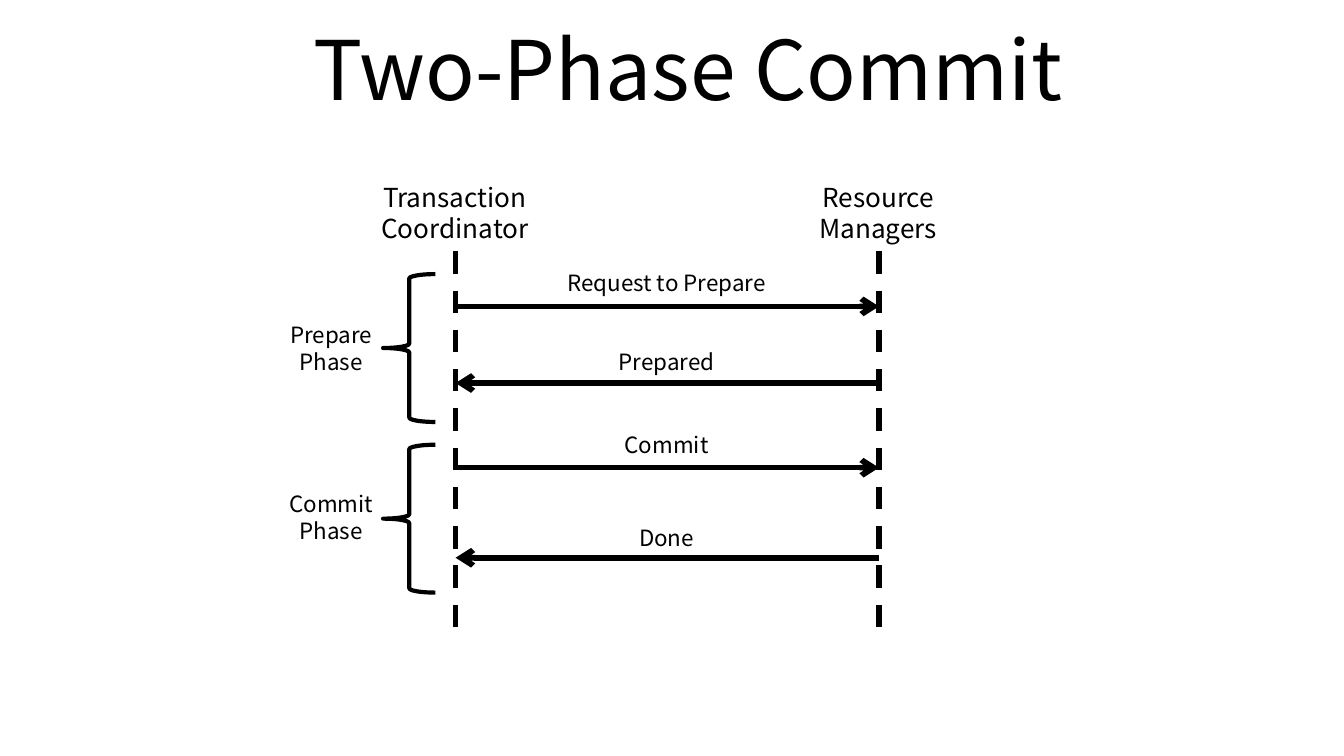
from typing import NamedTuple

from lxml.etree import SubElement
from pptx import Presentation
from pptx.dml.color import RGBColor
from pptx.enum.dml import MSO_LINE
from pptx.enum.shapes import MSO_CONNECTOR, MSO_SHAPE
from pptx.enum.text import MSO_ANCHOR, MSO_AUTO_SIZE, PP_ALIGN
from pptx.oxml.ns import qn
from pptx.shapes.connector import Connector
from pptx.slide import Slide
from pptx.util import Inches, Pt

BLACK = RGBColor(0x00, 0x00, 0x00)
FONT = "Noto Sans CJK KR"

SLIDE_WIDTH = Inches(10)
SLIDE_HEIGHT = SLIDE_WIDTH * 9 // 16

COORDINATOR_X = 3.39
MANAGERS_X = 6.54
LIFELINE_TOP = 1.87
LIFELINE_BOTTOM = 4.78


class Lifeline(NamedTuple):
    label: str
    x: float


class Message(NamedTuple):
    label: str
    sender_x: float
    receiver_x: float
    y: float
    label_top: float


class Phase(NamedTuple):
    label: str
    brace_top: float
    label_top: float


# A vertical tab is a line break inside one paragraph.
LIFELINES = [
    Lifeline("Transaction\nCoordinator", COORDINATOR_X),
    Lifeline("Resource\vManagers", MANAGERS_X),
]
MESSAGES = [
    Message("Request to Prepare", COORDINATOR_X, MANAGERS_X, 2.28, 1.95),
    Message("Prepared", MANAGERS_X, COORDINATOR_X, 2.85, 2.54),
    Message("Commit", COORDINATOR_X, MANAGERS_X, 3.48, 3.16),
    Message("Done", MANAGERS_X, COORDINATOR_X, 4.15, 3.85),
]
PHASES = [
    Phase("Prepare\nPhase", 2.04, 2.34),
    Phase("Commit\nPhase", 3.31, 3.6),
]


def add_text(slide: Slide, text: str, left: float, top: float, width: float,
             height: float, *, size: float = 12,
             anchor: MSO_ANCHOR = MSO_ANCHOR.TOP,
             auto_size: MSO_AUTO_SIZE = MSO_AUTO_SIZE.SHAPE_TO_FIT_TEXT) -> None:
    box = slide.shapes.add_textbox(
        Inches(left), Inches(top), Inches(width), Inches(height))
    frame = box.text_frame
    frame.word_wrap = True
    frame.auto_size = auto_size
    frame.vertical_anchor = anchor
    frame.text = text
    for paragraph in frame.paragraphs:
        paragraph.alignment = PP_ALIGN.CENTER
        for run in paragraph.runs:
            run.font.name = FONT
            run.font.size = Pt(size)
            run.font.color.rgb = BLACK


def add_line(slide: Slide, x1: float, y1: float, x2: float, y2: float) -> Connector:
    line = slide.shapes.add_connector(
        MSO_CONNECTOR.STRAIGHT, Inches(x1), Inches(y1), Inches(x2), Inches(y2))
    line.line.color.rgb = BLACK
    line.line.width = Pt(3)
    SubElement(line._element.spPr, qn("a:effectLst"))
    return line


def add_lifeline(slide: Slide, lifeline: Lifeline) -> None:
    line = add_line(slide, lifeline.x, LIFELINE_TOP, lifeline.x, LIFELINE_BOTTOM)
    line.line.dash_style = MSO_LINE.DASH
    add_text(slide, lifeline.label, lifeline.x - 0.83, 1.3, 1.65, 0.57, size=14)


def add_message(slide: Slide, message: Message) -> None:
    """Draw an arrow from sender to receiver with its label above."""
    arrow = add_line(slide, message.sender_x, message.y, message.receiver_x, message.y)
    SubElement(arrow.line._get_or_add_ln(), qn("a:tailEnd"), type="arrow")
    add_text(slide, message.label, 3.66, message.label_top, 2.6, 0.3)


def add_phase(slide: Slide, phase: Phase) -> None:
    """Draw a brace over the messages of a phase, with its label on the left."""
    brace = slide.shapes.add_shape(
        MSO_SHAPE.LEFT_BRACE, Inches(2.85), Inches(phase.brace_top),
        Inches(0.39), Inches(1.1))
    brace.shadow.inherit = False
    brace.fill.background()
    brace.line.color.rgb = BLACK
    brace.line.width = Pt(2.25)
    add_text(slide, phase.label, 1.9, phase.label_top, 1.13, 0.5)


def main() -> None:
    presentation = Presentation()
    presentation.slide_width = SLIDE_WIDTH
    presentation.slide_height = SLIDE_HEIGHT
    slide = presentation.slides.add_slide(presentation.slide_layouts[6])

    add_text(slide, "Two-Phase Commit", 0.62, 0.03, 9, 0.94, size=44,
             anchor=MSO_ANCHOR.MIDDLE, auto_size=MSO_AUTO_SIZE.NONE)
    for lifeline in LIFELINES:
        add_lifeline(slide, lifeline)
    for message in MESSAGES:
        add_message(slide, message)
    for phase in PHASES:
        add_phase(slide, phase)

    presentation.save("out.pptx")


if __name__ == "__main__":
    main()
